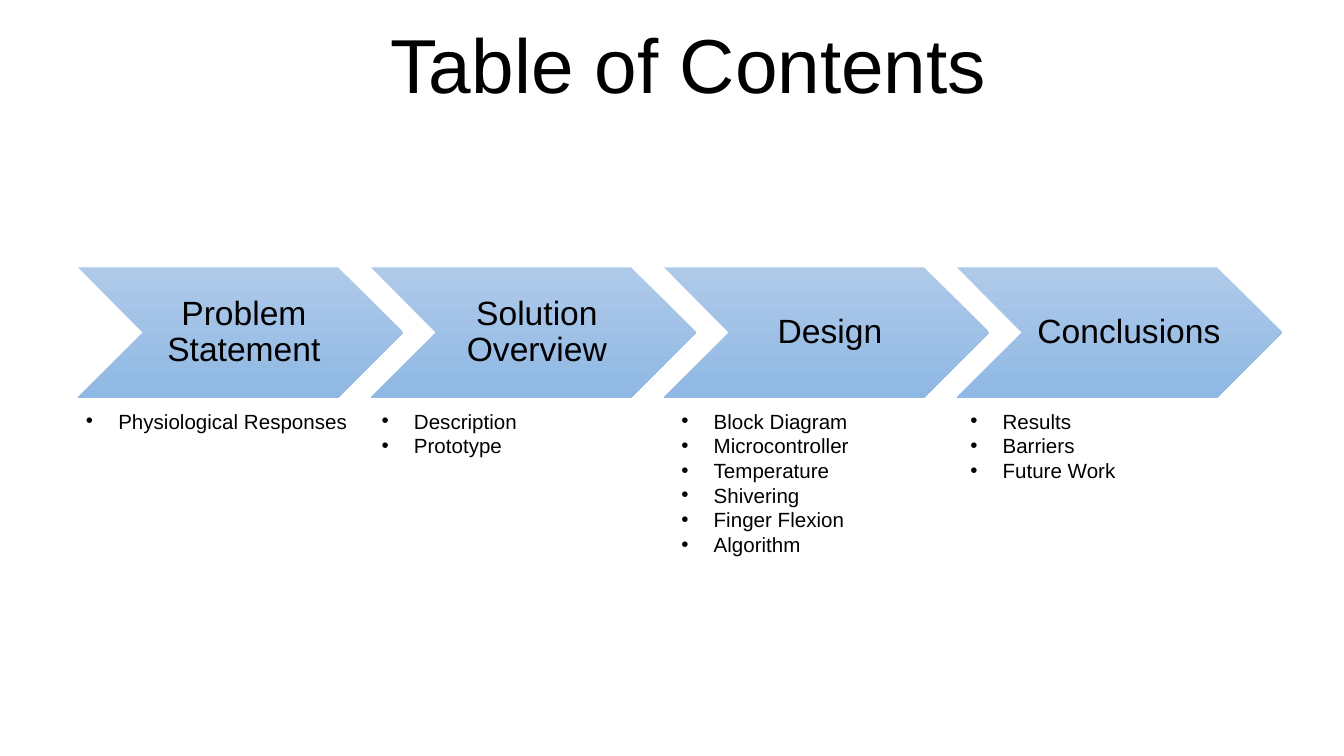
from lxml import etree
from pptx import Presentation, util as u
from pptx.dml.color import RGBColor
from pptx.enum import shapes, text
from pptx.oxml import ns

FONT = "Arial"
BLACK = RGBColor(0x00, 0x00, 0x00)
BLUE_TOP = RGBColor(0xAF, 0xCA, 0xE9)
BLUE_BOTTOM = RGBColor(0x8F, 0xB8, 0xE4)
WIDTH = 10
HEIGHT = WIDTH * 9 / 16
PITCH, ARROW_WIDTH, ARROW_HEIGHT = 2.18, 2.42, 0.97
INDENT = 0.24

STEPS = [
    dict(heading=["Problem", "Statement"], heading_width=1.45,
         topics=["Physiological Responses"],
         left=0.57, width=2.13, height=0.61),
    dict(heading=["Solution Overview"], heading_width=1.45,
         topics=["Description", "Prototype"],
         left=2.77, width=1.93, height=0.78),
    dict(heading=["Design"], heading_width=1.45,
         topics=["Block Diagram", "Microcontroller", "Temperature",
                 "Shivering", "Finger Flexion", "Algorithm"],
         left=5, width=1.58, height=1.14),
    dict(heading=["Conclusions"], heading_width=1.54,
         topics=["Results", "Barriers", "Future Work"],
         left=7.15, width=2.06, height=0.43),
]


def add_bullet(p):
    """Give a paragraph a hanging round bullet."""
    pPr = p._p.get_or_add_pPr()
    pPr.set("marL", str(u.Inches(INDENT)))
    pPr.set("indent", str(-u.Inches(INDENT)))
    color = etree.SubElement(pPr, ns.qn("a:buClr"))
    etree.SubElement(color, ns.qn("a:srgbClr"), val=str(BLACK))
    etree.SubElement(pPr, ns.qn("a:buFont"), typeface=FONT)
    etree.SubElement(pPr, ns.qn("a:buChar"), char="•")


def add_text(parent, box, lines, size, insets, align=None, anchor=None,
             spacing=None, bullets=False):
    """Write lines of text in a box given in inches."""
    tf = parent.add_textbox(*map(u.Inches, box)).text_frame
    tf.word_wrap = True
    tf.vertical_anchor = anchor
    (tf.margin_left, tf.margin_top,
     tf.margin_right, tf.margin_bottom) = map(u.Inches, insets)
    tf.text = "\n".join(lines)
    for p in tf.paragraphs:
        p.alignment = align
        p.line_spacing = spacing
        if bullets:
            add_bullet(p)
        for r in p.runs:
            r.font.name, r.font.size = FONT, u.Pt(size)
            r.font.color.rgb = BLACK


def add_title(s, box):
    """Place the slide title."""
    add_text(s.shapes, box, ["Table of Contents"], 41, [0.05] * 4,
             text.PP_ALIGN.CENTER, text.MSO_ANCHOR.MIDDLE)


def add_arrow(group, box, heading, heading_width):
    """Place one gradient chevron with its heading."""
    left, top, width, height = box
    sp = group.add_shape(shapes.MSO_SHAPE.CHEVRON, *map(u.Inches, box))
    sp.shadow.inherit = False
    sp.line.fill.background()
    sp.fill.gradient()
    sp.fill.gradient_angle = 270
    for stop, color in zip(sp.fill.gradient_stops, (BLUE_TOP, BLUE_BOTTOM)):
        stop.color.rgb = color
    add_text(group, (left + height / 2, top, heading_width, height), heading,
             18, (0.08, 0.03, 0.03, 0.03), text.PP_ALIGN.CENTER,
             text.MSO_ANCHOR.MIDDLE, 0.9)


def add_steps(s, left, top):
    """Place the row of chevrons and the topics below it."""
    group = s.shapes.add_group_shape().shapes
    topics_top = top + ARROW_HEIGHT + 0.04
    for i, step in enumerate(STEPS):
        add_arrow(group, (left + i * PITCH, top, ARROW_WIDTH, ARROW_HEIGHT),
                  step["heading"], step["heading_width"])
        add_text(s.shapes,
                 (step["left"], topics_top, step["width"], step["height"]),
                 step["topics"], 11, (0.07, 0.04, 0.07, 0.04), bullets=True)


def main():
    """Build the contents slide."""
    prs = Presentation()
    prs.slide_width, prs.slide_height = u.Inches(WIDTH), u.Inches(HEIGHT)
    s = prs.slides.add_slide(prs.slide_layouts[6])
    add_title(s, (1.1, 0.1, 8.05, 0.74))
    add_steps(s, 0.58, 1.99)
    prs.save("out.pptx")


if __name__ == "__main__":
    main()
